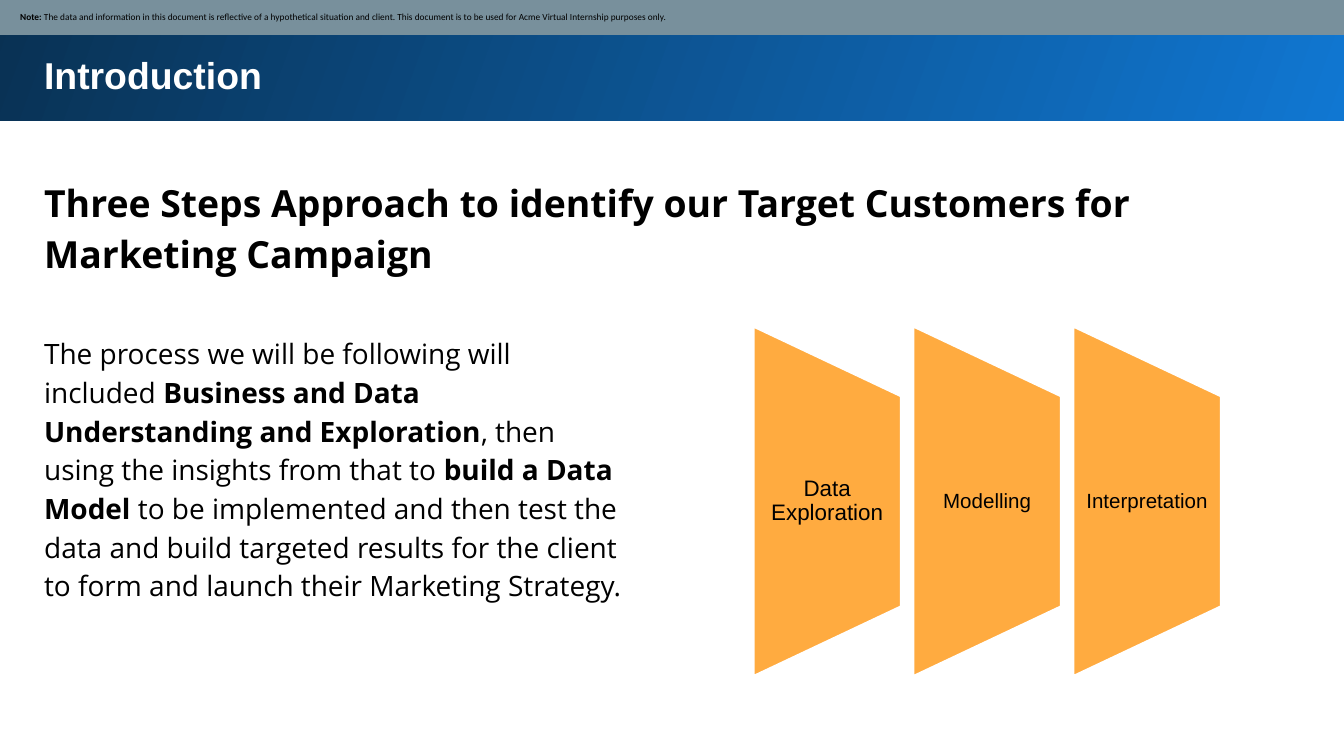
from dataclasses import dataclass

from pptx import Presentation
from pptx.dml.color import RGBColor
from pptx.enum.shapes import MSO_SHAPE
from pptx.enum.text import MSO_ANCHOR, PP_ALIGN
from pptx.util import Inches, Pt

RECT = MSO_SHAPE.RECTANGLE
FUNNEL = MSO_SHAPE.FLOWCHART_MANUAL_OPERATION
MIDDLE, TOP = MSO_ANCHOR.MIDDLE, MSO_ANCHOR.TOP
LEFT, CENTER = PP_ALIGN.LEFT, PP_ALIGN.CENTER


@dataclass(frozen=True)
class Theme:
    """Colours, fonts and type sizes of the slide."""
    white: RGBColor = RGBColor(0xFF, 0xFF, 0xFF)
    black: RGBColor = RGBColor(0, 0, 0)
    blue: RGBColor = RGBColor(0x10, 0x77, 0xD2)
    navy: RGBColor = RGBColor(0x09, 0x31, 0x53)
    slate: RGBColor = RGBColor(0x78, 0x90, 0x9C)
    amber: RGBColor = RGBColor(0xFF, 0xAB, 0x40)
    head: str = "Arial"
    body: str = "Open Sans"
    small: str = "Calibri"
    title: int = 20
    text: int = 15
    step: int = 11
    note: int = 5


THEME = Theme()
TITLE = "Introduction"
LEAD = "Three Steps Approach to identify our Target Customers for Marketing Campaign"
BODY = [
    ("The process we will be following will included ", False),
    ("Business and Data Understanding and Exploration", True),
    (", then using the insights from that to ", False),
    ("build a Data Model", True),
    (" to be implemented and then test the data and build targeted results "
     "for the client to form and launch their Marketing Strategy.", False),
]
NOTE = [
    ("Note: ", True),
    ("The data and information in this document is reflective of a hypothetical "
     "situation and client. This document is to be used for Acme Virtual "
     "Internship purposes only.", False),
]
STEPS = [("Data Exploration", THEME.step + 1), ("Modelling", THEME.step),
         ("Interpretation", THEME.step)]


def add_shape(slide, kind, box):
    """Add a preset shape without shadow or outline."""
    shape = slide.shapes.add_shape(kind, *map(Inches, box))
    shape.shadow.inherit = False
    shape.line.fill.background()
    return shape


def write(shape, runs, face, size, color, pads=(0.1, 0.1), space=1,
          align=LEFT, anchor=TOP):
    """Fill a shape with one paragraph of (text, bold) runs."""
    frame = shape.text_frame
    frame.word_wrap = True
    frame.vertical_anchor = anchor
    frame.margin_left = frame.margin_right = Inches(pads[0])
    frame.margin_top = frame.margin_bottom = Inches(pads[1])
    para = frame.paragraphs[0]
    para.alignment = align
    para.line_spacing = space
    font = para.font
    font.name, font.size, font.color.rgb = face, Pt(size), color
    for words, bold in runs:
        run = para.add_run()
        run.text = words
        run.font.bold = bold


def add_text(slide, box, *args, **opts):
    """Add a text box and write in it."""
    write(slide.shapes.add_textbox(*map(Inches, box)), *args, **opts)


def add_header(slide, box):
    """Draw the gradient banner with the slide title."""
    x, y, _, _ = box
    fill = add_shape(slide, RECT, box).fill
    fill.gradient()
    fill.gradient_angle = 160
    for stop, color in zip(fill.gradient_stops, (THEME.blue, THEME.navy)):
        stop.color.rgb = color
    add_text(slide, (x + 0.25, y + 0.31, 9.37, 0.51), [(TITLE, True)],
             THEME.head, THEME.title, THEME.white)


def add_note(slide, box):
    """Draw the disclaimer strip."""
    strip = add_shape(slide, RECT, box)
    strip.fill.solid()
    strip.fill.fore_color.rgb = THEME.slate
    write(strip, NOTE, THEME.small, THEME.note, THEME.black,
          pads=(0.16, 0.05), anchor=MIDDLE)


def add_story(slide, box):
    """Place the lead line and the process text below it."""
    x, y, wide, _ = box
    add_text(slide, (x, y, wide, 0.94), [(LEAD, True)], THEME.body,
             THEME.title, THEME.black, space=1.15)
    add_text(slide, (x, y + 1.18, 4.52, 2.21), BODY, THEME.body,
             THEME.text, THEME.black, space=1.15)


def add_steps(slide, box):
    """Draw a row of upright funnels, one per step."""
    x, y, wide, high = box
    gap = 0.08
    side = (wide - gap * (len(STEPS) - 1)) / len(STEPS)
    shift = (high - side) / 2
    for i, (name, size) in enumerate(STEPS):
        left = x + i * (side + gap)
        cone = add_shape(slide, FUNNEL, (left - shift, y + shift, high, side))
        cone.rotation = 270
        cone.fill.solid()
        cone.fill.fore_color.rgb = THEME.amber
        cone.line.color.rgb = THEME.white
        cone.line.width = Pt(2)
        add_text(slide, (left, y + high / 5, side, high * 0.6),
                 [(name, False)], THEME.head, size, THEME.black,
                 pads=(0.08, 0), space=0.9, align=CENTER, anchor=MIDDLE)


def main():
    """Build and save the slide."""
    deck = Presentation()
    deck.slide_width = Inches(10)
    deck.slide_height = deck.slide_width * 9 // 16
    slide = deck.slides.add_slide(deck.slide_layouts[6])
    add_header(slide, (-0.02, -0.02, 10.05, 0.92))
    add_story(slide, (0.23, 1.19, 9.37, 3.39))
    add_note(slide, (-0.01, -0.01, 10.03, 0.27))
    add_steps(slide, (5.6, 2.42, 3.49, 2.62))
    deck.save("out.pptx")


if __name__ == "__main__":
    main()
